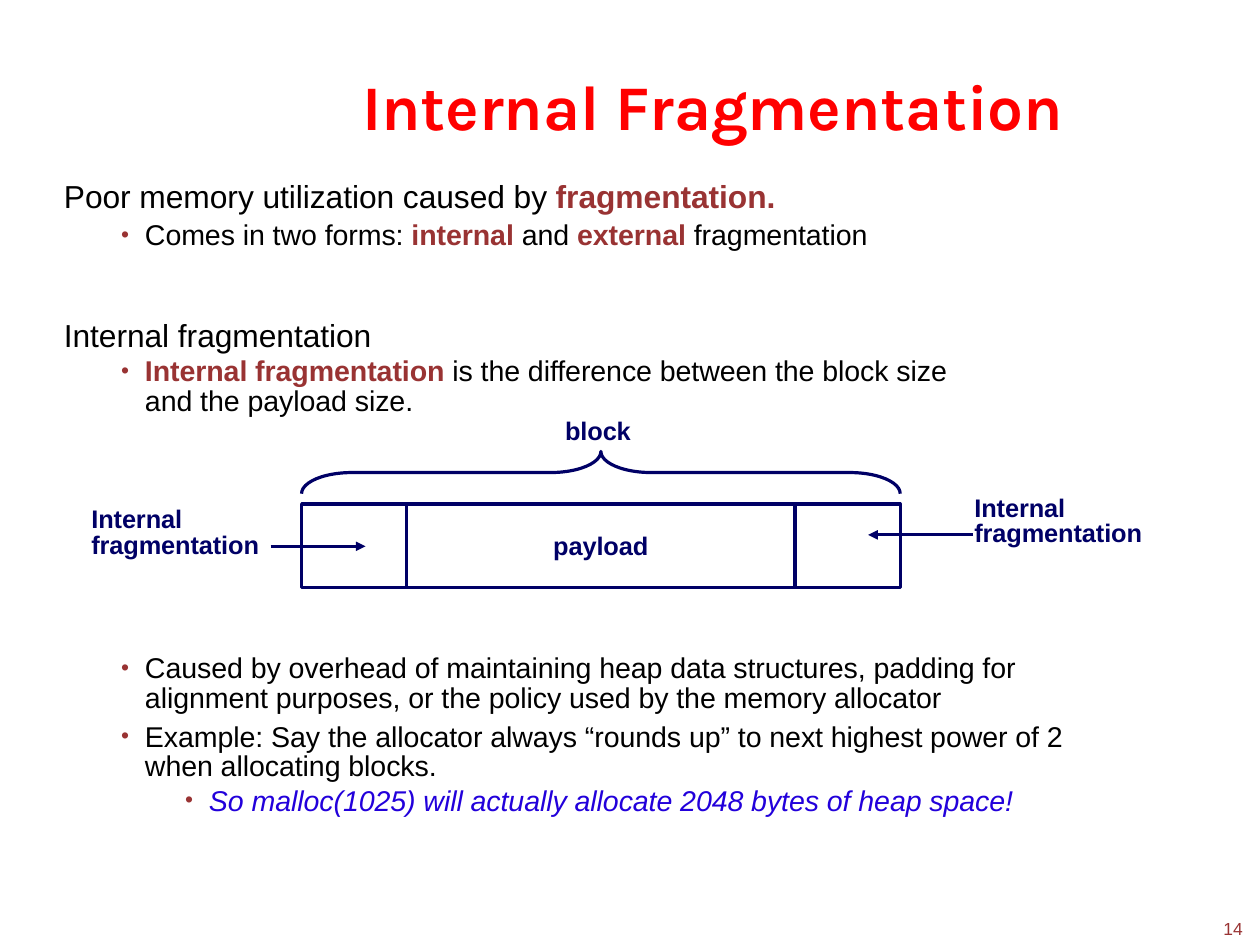
from lxml import etree
from pptx import Presentation
from pptx.dml.color import RGBColor
from pptx.enum.shapes import MSO_CONNECTOR, MSO_SHAPE
from pptx.enum.text import MSO_ANCHOR, MSO_AUTO_SIZE, PP_ALIGN
from pptx.oxml.ns import qn
from pptx.util import Inches, Pt

LEFT, CENTER = PP_ALIGN.LEFT, PP_ALIGN.CENTER
TOP, MIDDLE = MSO_ANCHOR.TOP, MSO_ANCHOR.MIDDLE
NO_AUTOFIT = MSO_AUTO_SIZE.NONE
RECTANGLE, LEFT_BRACE = MSO_SHAPE.RECTANGLE, MSO_SHAPE.LEFT_BRACE
STRAIGHT = MSO_CONNECTOR.STRAIGHT

RED = RGBColor(0xFF, 0x00, 0x00)
BLACK = RGBColor(0x00, 0x00, 0x00)
MAROON = RGBColor(0x99, 0x33, 0x33)
NAVY = RGBColor(0x00, 0x00, 0x66)
BLUE = RGBColor(0x22, 0x00, 0xDB)

TITLE = dict(name="Karla", size=Pt(40), bold=True, color=RED)
HEADING = dict(name="Arial", size=Pt(20), color=BLACK)
BODY = dict(HEADING, size=Pt(18))
EXAMPLE = dict(BODY, italic=True, color=BLUE)
LABEL = dict(name="Arial", size=Pt(16), bold=True, color=NAVY)
NUMBER = dict(name="Arial", size=Pt(11), color=MAROON)
KEY = dict(bold=True, color=MAROON)


class Deck:
    def __init__(self, width, height):
        self.prs = Presentation()
        self.prs.slide_width, self.prs.slide_height = Inches(width), Inches(height)
        self.s = self.prs.slides.add_slide(self.prs.slide_layouts[5])

    def frame(self, tf, anchor=TOP):
        fmt = dict(word_wrap=True, auto_size=NO_AUTOFIT, vertical_anchor=anchor,
                   margin_left=0, margin_right=0, margin_top=0, margin_bottom=0)
        for k, v in fmt.items():
            setattr(tf, k, v)
        return tf

    def fill_paragraph(self, p, runs, style, spacing=-5, **fmt):
        for k, v in fmt.items():
            setattr(p, k, v)
        for text, extra in runs:
            r = p.add_run()
            r.text = text
            font = dict(style, **extra)
            r.font.color.rgb = font.pop("color")
            for k, v in font.items():
                setattr(r.font, k, v)
            r._r.get_or_add_rPr().set("spc", str(spacing))

    def title(self, text, x, y, w, h):
        sp = self.s.shapes.title
        sp.left, sp.top, sp.width, sp.height = map(Inches, (x, y, w, h))
        tf = self.frame(sp.text_frame)
        self.fill_paragraph(tf.paragraphs[0], [(text, {})], TITLE, -10,
                            alignment=CENTER, line_spacing=Pt(47.6))

    def text(self, x, y, w, h, runs, style, **fmt):
        sp = self.s.shapes.add_textbox(*map(Inches, (x, y, w, h)))
        tf = self.frame(sp.text_frame)
        self.fill_paragraph(tf.paragraphs[0], runs, style, **fmt)

    def bullets(self, x, y, w, h, items):
        sp = self.s.shapes.add_textbox(*map(Inches, (x, y, w, h)))
        tf = self.frame(sp.text_frame)
        for i, (indent, runs, style, fmt) in enumerate(items):
            p = tf.add_paragraph() if i else tf.paragraphs[0]
            self.bullet(p, indent)
            self.fill_paragraph(p, runs, style, **fmt)

    def bullet(self, p, indent):
        pPr = p._p.get_or_add_pPr()
        pPr.set("marL", str(Inches(indent + 0.21)))
        pPr.set("indent", str(-Inches(0.21)))
        clr = etree.SubElement(pPr, qn("a:buClr"))
        etree.SubElement(clr, qn("a:srgbClr")).set("val", str(MAROON))
        etree.SubElement(pPr, qn("a:buSzPct")).set("val", "80000")
        etree.SubElement(pPr, qn("a:buFont")).set("typeface", "Arial")
        etree.SubElement(pPr, qn("a:buChar")).set("char", "•")

    def shape(self, kind, x, y, w, h, text=None):
        sp = self.s.shapes.add_shape(kind, *map(Inches, (x, y, w, h)))
        sp.shadow.inherit = False
        sp.fill.background()
        sp.line.color.rgb = NAVY
        sp.line.width = Pt(2)
        if text:
            tf = self.frame(sp.text_frame, MIDDLE)
            self.fill_paragraph(tf.paragraphs[0], [(text, {})], LABEL, alignment=CENTER)
        return sp

    def brace(self, x, y, w, h):
        sp = self.shape(LEFT_BRACE, x + (w - h) / 2, y + (h - w) / 2, h, w)
        sp.rotation = 90
        sp.adjustments[0] = 1.19

    def arrow(self, x1, x2, y):
        c = self.s.shapes.add_connector(STRAIGHT, *map(Inches, (x1, y, x2, y)))
        c.line.color.rgb = NAVY
        c.line.width = Pt(2)
        spPr = c._element.spPr
        etree.SubElement(spPr.find(qn("a:ln")), qn("a:tailEnd")).set("type", "triangle")
        etree.SubElement(spPr, qn("a:effectLst"))


def main():
    d = Deck(11.03, 8.26)
    d.title("Internal Fragmentation", 2.51, 0.59, 7.46, 0.67)

    d.text(0.56, 1.55, 7, 0.31, [("Poor memory utilization caused by ", {}),
                                 ("fragmentation.", KEY)], HEADING, line_spacing=Pt(23.8))
    d.bullets(1.06, 1.9, 7.4, 0.28, [
        (0, [("Comes in two forms: ", {}), ("internal", KEY), (" and ", {}),
             ("external", KEY), (" fragmentation", {})], BODY, {})])

    tight = dict(line_spacing=Pt(18.7))
    d.text(0.56, 2.76, 7, 0.31, [("Internal fragmentation", {})], HEADING)
    d.bullets(1.06, 3.13, 7.5, 0.52, [
        (0, [("Internal fragmentation", KEY),
             (" is the difference between the block size and the payload size.", {})],
         BODY, tight)])

    x = 2.64
    for w, text in ((0.92, None), (3.4, "payload"), (0.92, None)):
        d.shape(RECTANGLE, x, 4.41, w, 0.73, text)
        x += w
    d.brace(2.64, 3.95, 5.24, 0.37)
    d.text(4.8, 3.65, 0.87, 0.25, [("block", {})], LABEL,
           alignment=CENTER, line_spacing=Pt(17.8))
    for x, y in ((0.8, 4.45), (8.53, 4.35)):
        d.text(x, y, 1.55, 0.47, [("Internal fragmentation", {})], LABEL,
               alignment=LEFT, line_spacing=Pt(16))
    d.arrow(2.37, 3.2, 4.78)
    d.arrow(8.52, 7.6, 4.68)

    d.bullets(1.06, 5.73, 8.54, 1.4, [
        (0, [("Caused by overhead of maintaining heap data structures, padding for "
              "alignment purposes, or the policy used by the memory allocator", {})],
         BODY, tight),
        (0, [("Example: Say the allocator always “rounds up” to next highest power of 2 "
              "when allocating blocks.", {})], BODY, dict(tight, space_before=Pt(5.6))),
        (0.56, [("So malloc(1025) will actually allocate 2048 bytes of heap space!", {})],
         EXAMPLE, {})])
    d.text(10.71, 8.03, 0.23, 0.18, [("14", {})], NUMBER, spacing=0)
    d.prs.save("out.pptx")


if __name__ == "__main__":
    main()
